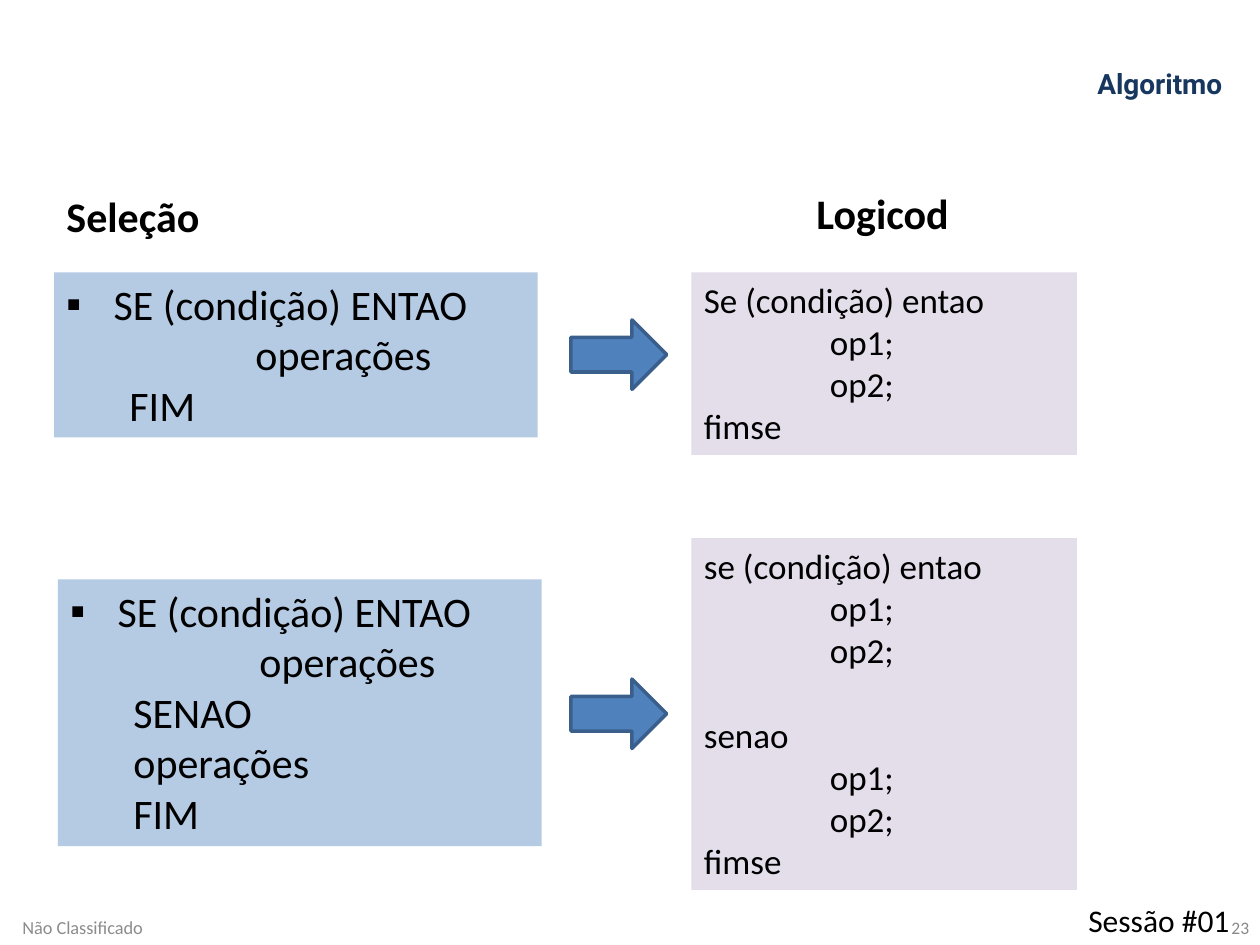
from lxml import etree
from pptx import Presentation
from pptx.dml.color import RGBColor
from pptx.enum.shapes import MSO_SHAPE
from pptx.enum.text import MSO_ANCHOR, PP_ALIGN
from pptx.oxml.ns import qn
from pptx.util import Cm, Pt

RECTANGLE, RIGHT_ARROW = MSO_SHAPE.RECTANGLE, MSO_SHAPE.RIGHT_ARROW
TOP, MIDDLE = MSO_ANCHOR.TOP, MSO_ANCHOR.MIDDLE
LEFT, RIGHT = PP_ALIGN.LEFT, PP_ALIGN.RIGHT

BLACK = RGBColor(0x00, 0x00, 0x00)
NAVY = RGBColor(0x17, 0x37, 0x5E)
BLUE = RGBColor(0x4F, 0x81, 0xBD)
DARK_BLUE = RGBColor(0x3A, 0x5F, 0x8C)
LILAC = RGBColor(0xCC, 0xC1, 0xDA)
PAGE_GREY = RGBColor(0x89, 0x89, 0x89)
FOOTER_GREY = RGBColor(0x8C, 0x8C, 0x8C)

CODE_LEFT, CODE_WIDTH = 13.94, 7.77
PSEUDO_WIDTH = 9.75
TAB_WIDTH = Cm(2.54)
BLANK_LINE = Pt(24.4)


def style_paragraph(para, size, color, font="Calibri", bold=False, align=LEFT):
    """Format a paragraph and its runs."""
    para.alignment = align
    for span in para.runs:
        span.font.name = font
        span.font.size = Pt(size)
        span.font.bold = bold
        span.font.color.rgb = color


def add_label(page, text, left, top, width, height, size, color=BLACK,
              anchor=TOP, wrap=True, **style):
    """Add a one-line text box, placed in centimetres."""
    box = page.shapes.add_textbox(Cm(left), Cm(top), Cm(width), Cm(height))
    frame = box.text_frame
    frame.text = text
    frame.word_wrap = wrap
    frame.vertical_anchor = anchor
    style_paragraph(frame.paragraphs[0], size, color, **style)


def add_panel(page, lines, left, top, width, height, size, color, opacity):
    """Add a translucent rectangle of text lines and return its paragraphs."""
    panel = page.shapes.add_shape(RECTANGLE, Cm(left), Cm(top), Cm(width), Cm(height))
    panel.shadow.inherit = False
    panel.fill.solid()
    panel.fill.fore_color.rgb = color
    fill_color = next(panel._element.spPr.iter(qn("a:srgbClr")))
    etree.SubElement(fill_color, qn("a:alpha"), val=str(opacity * 1000))
    panel.line.fill.background()
    frame = panel.text_frame
    frame.word_wrap = True
    frame.vertical_anchor = TOP
    frame.text = "\n".join(lines)
    for para in frame.paragraphs:
        style_paragraph(para, size, BLACK)
        para._p.get_or_add_pPr().set("defTabSz", str(TAB_WIDTH))
    return frame.paragraphs


def set_indent(para, margin, first_line=0.0):
    """Set the left margin and first-line indent and return the properties."""
    properties = para._p.get_or_add_pPr()
    properties.set("marL", str(Cm(margin)))
    properties.set("indent", str(Cm(first_line)))
    return properties


def add_pseudocode(page, lines, left, top, height):
    """Add a blue panel with a bulleted condition and indented steps."""
    condition, *steps = add_panel(page, lines, left, top, PSEUDO_WIDTH, height,
                                  24, BLUE, 42)
    properties = set_indent(condition, 0.95, -0.95)
    etree.SubElement(properties, qn("a:buFont"), typeface="Calibri")
    etree.SubElement(properties, qn("a:buChar"), char="▪")
    for para in steps:
        para.level = 1
        set_indent(para, 1.27)


def add_code(page, lines, top, height):
    """Add a lilac panel of code, with a gap above the else branch."""
    for para in add_panel(page, lines, CODE_LEFT, top, CODE_WIDTH, height,
                          20, LILAC, 52):
        if para.text == "senao":
            para.space_before = BLANK_LINE


def add_arrow(page, top):
    """Add an arrow that leads from pseudocode to code."""
    arrow = page.shapes.add_shape(RIGHT_ARROW, Cm(11.51), Cm(top), Cm(1.93), Cm(1.4))
    arrow.shadow.inherit = False
    arrow.fill.solid()
    arrow.fill.fore_color.rgb = BLUE
    arrow.line.color.rgb = DARK_BLUE
    arrow.line.width = Pt(2)


def main():
    """Build the selection slide and save it."""
    deck = Presentation()
    deck.slide_width, deck.slide_height = Cm(25.4), Cm(19.05)
    page = deck.slides.add_slide(deck.slide_layouts[6])

    add_label(page, "23", 19.51, 18.19, 5.92, 1.02, 10, PAGE_GREY, MIDDLE, align=RIGHT)
    add_label(page, "Não Classificado", 0.2, 18.19, 10.9, 1.02, 10.5, FOOTER_GREY, MIDDLE)
    add_label(page, "Sessão #01", 21.69, 18.03, 3.38, 1.02, 18, wrap=False)
    add_label(page, "Algoritmo", 3.1, 1.22, 21.79, 1.9, 16, NAVY,
              font="Roboto", bold=True, align=RIGHT)
    add_label(page, "Seleção", 1.09, 3.71, 3.23, 1.27, 24, wrap=False, bold=True)
    add_label(page, "Logicod", 16.21, 3.66, 3.2, 1.27, 24, wrap=False, bold=True)

    opening = ["SE (condição) ENTAO", "\toperações"]
    operations = ["\top1;", "\top2;"]
    add_pseudocode(page, [*opening, "FIM"], 1.09, 5.49, 3.33)
    add_code(page, ["Se (condição) entao", *operations, "fimse"], 5.49, 3.68)
    add_pseudocode(page, [*opening, "SENAO", "operações", "FIM"], 1.17, 11.68, 5.38)
    add_code(page, ["se (condição) entao", *operations, "senao", *operations, "fimse"],
             10.85, 7.09)
    for top in (6.45, 13.69):
        add_arrow(page, top)

    deck.save("out.pptx")


if __name__ == "__main__":
    main()
